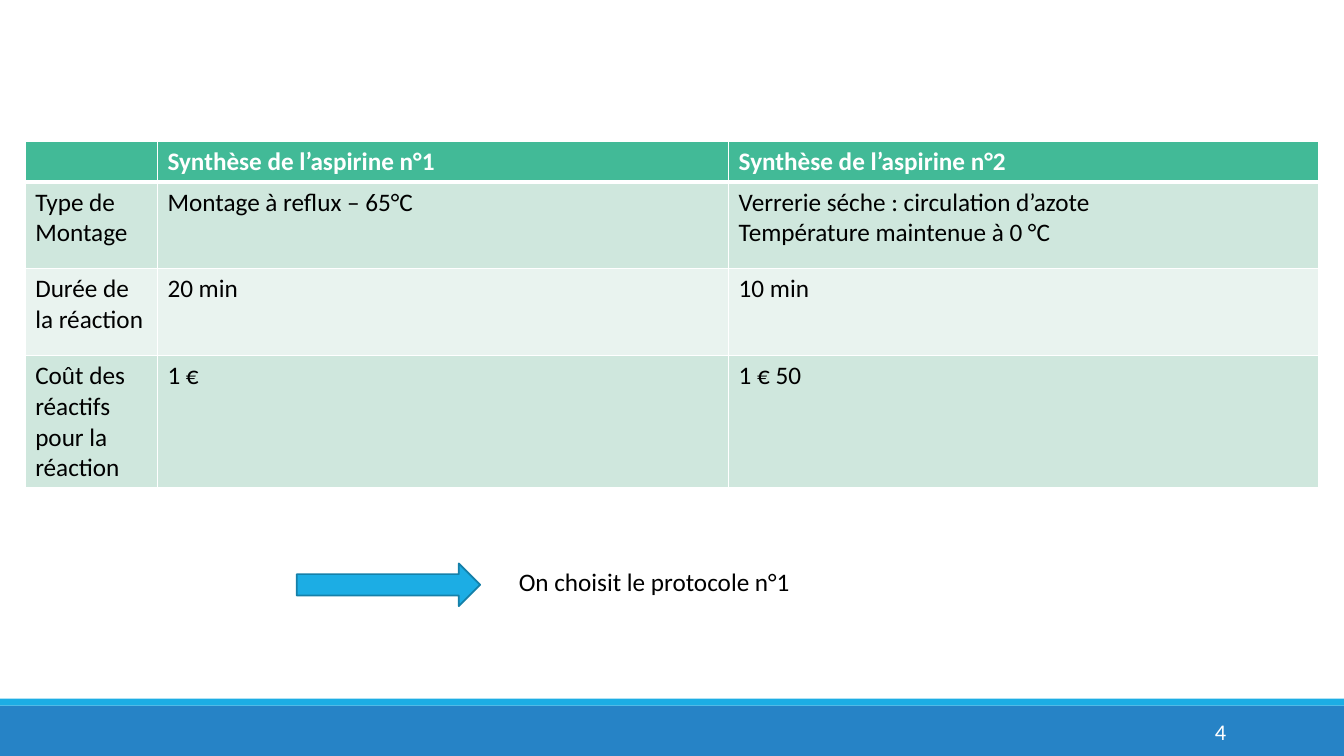
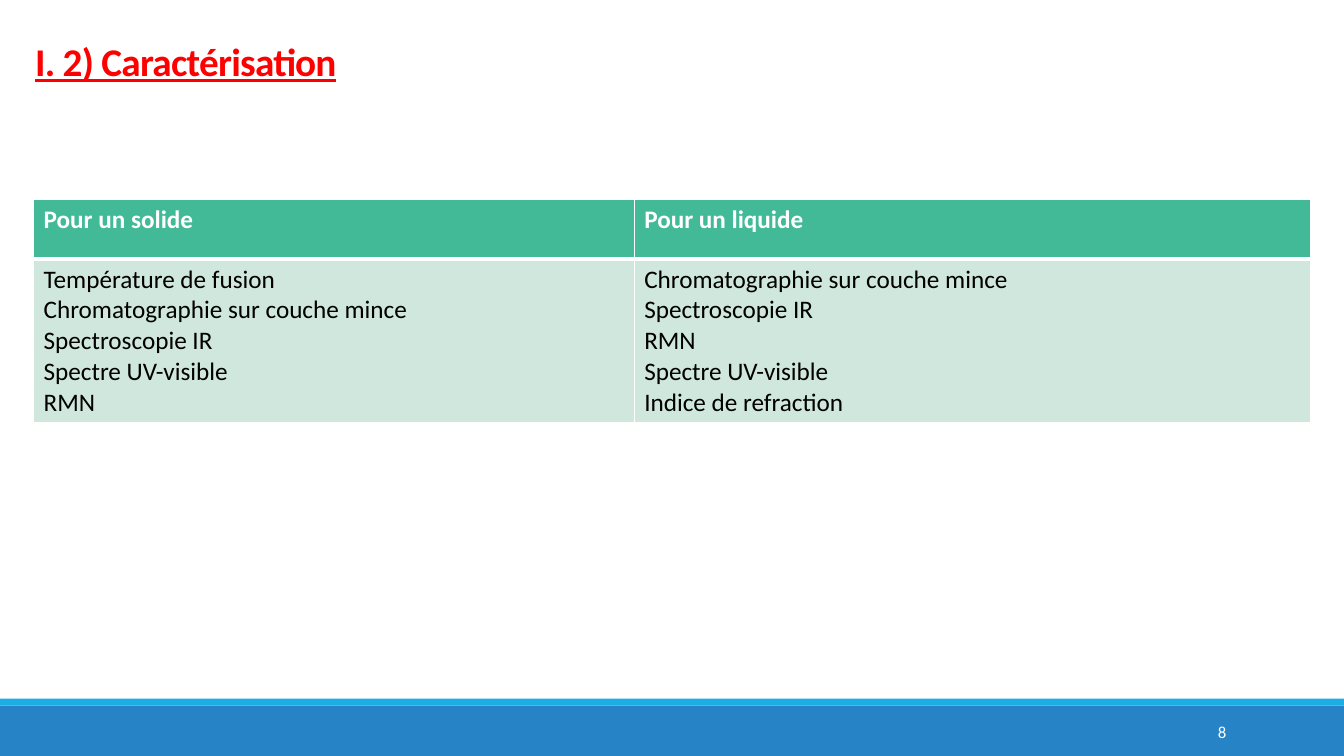
"""Build two slides on choosing an aspirin synthesis and characterising its product."""
from lxml import etree
from pptx import Presentation
from pptx.dml.color import RGBColor
from pptx.enum import shapes, text
from pptx.oxml import ns
from pptx.util import Pt

FONT = "Calibri"
BODY_SIZE = 18
SLIDE_WIDTH, SLIDE_HEIGHT = 960, 540
COLORS = {
    "band": "2683C6",
    "accent": "1CADE4",
    "accent_line": "1580A9",
    "header": "42BA97",
    "row_odd": "CFE7DD",
    "row_even": "E9F3EF",
    "title": "FF0000",
    "text": "000000",
    "white": "FFFFFF",
}


def color(name):
    return RGBColor.from_string(COLORS[name])


def format_text(text_frame, size=BODY_SIZE, color_name="text", bold=False):
    for paragraph in text_frame.paragraphs:
        for run in paragraph.runs:
            run.font.name = FONT
            run.font.size = Pt(size)
            run.font.bold = bold
            run.font.color.rgb = color(color_name)


def add_filled_shape(slide, kind, left, top, width, height, fill, line=None):
    shape = slide.shapes.add_shape(kind, Pt(left), Pt(top), Pt(width), Pt(height))
    shape.shadow.inherit = False
    shape.fill.solid()
    shape.fill.fore_color.rgb = color(fill)
    if line:
        shape.line.color.rgb = color(line)
        shape.line.width = Pt(1.25)
    else:
        shape.line.fill.background()


def add_text(slide, content, left, top, width, height, anchor=text.MSO_ANCHOR.TOP, **style):
    shape = slide.shapes.add_textbox(Pt(left), Pt(top), Pt(width), Pt(height))
    text_frame = shape.text_frame
    text_frame.word_wrap = True
    text_frame.vertical_anchor = anchor
    text_frame.text = content
    format_text(text_frame, **style)
    return text_frame.paragraphs[0]


def add_title(slide, content):
    paragraph = add_text(slide, content, 18, 27, 272, 37, text.MSO_ANCHOR.BOTTOM,
                         size=28, color_name="title", bold=True)
    paragraph.line_spacing = 0.85
    font = paragraph.runs[0].font
    font.underline = True
    paragraph.runs[0]._r.get_or_add_rPr().set("spc", "-50")


def add_footer(slide, number, size):
    rectangle = shapes.MSO_SHAPE.RECTANGLE
    add_filled_shape(slide, rectangle, 0, 504, SLIDE_WIDTH, 36, "band")
    add_filled_shape(slide, rectangle, 0, 499, SLIDE_WIDTH, 5, "accent")
    paragraph = add_text(slide, number, 780, 508.5, 103, 28.5, text.MSO_ANCHOR.MIDDLE,
                         size=size, color_name="white")
    paragraph.alignment = text.PP_ALIGN.RIGHT


def set_borders(cell, top, bottom):
    properties = cell._tc.get_or_add_tcPr()
    for side, width in (("L", 1), ("R", 1), ("T", top), ("B", bottom)):
        line = etree.SubElement(properties, ns.qn(f"a:ln{side}"), w=str(Pt(width)))
        fill = etree.SubElement(line, ns.qn("a:solidFill"))
        etree.SubElement(fill, ns.qn("a:srgbClr"), val=COLORS["white"])


def add_table(slide, rows, left, top, widths, heights):
    frame = slide.shapes.add_table(len(rows), len(widths), Pt(left), Pt(top),
                                   Pt(sum(widths)), Pt(sum(heights)))
    table = frame.table
    table.horz_banding = False
    for column, width in zip(table.columns, widths):
        column.width = Pt(width)
    for row, height in zip(table.rows, heights):
        row.height = Pt(height)
    for row_index, values in enumerate(rows):
        is_header = row_index == 0
        fill = "header" if is_header else "row_odd" if row_index % 2 else "row_even"
        for column_index, value in enumerate(values):
            cell = table.cell(row_index, column_index)
            set_borders(cell, 3 if row_index == 1 else 1, 3 if is_header else 1)
            cell.fill.solid()
            cell.fill.fore_color.rgb = color(fill)
            cell.text_frame.text = value
            format_text(cell.text_frame, color_name="white" if is_header else "text",
                        bold=is_header)


def add_slide(presentation, number, number_size):
    slide = presentation.slides.add_slide(presentation.slide_layouts[6])
    add_footer(slide, number, number_size)
    return slide


def build_protocol_slide(presentation):
    slide = add_slide(presentation, "4", 16)
    rows = [
        ("", "Synthèse de l’aspirine n°1", "Synthèse de l’aspirine n°2"),
        ("Type de Montage", "Montage à reflux – 65°C",
         "Verrerie séche : circulation d’azote\nTempérature maintenue à 0 °C"),
        ("Durée de la réaction", "20 min", "10 min"),
        ("Coût des réactifs pour la réaction", "1 €", "1 € 50"),
    ]
    add_table(slide, rows, 18, 101, (94.5, 408, 421.5), (29, 62, 62, 94.5))
    add_filled_shape(slide, shapes.MSO_SHAPE.RIGHT_ARROW, 212, 402.5, 131, 30.5,
                     "accent", "accent_line")
    add_text(slide, "On choisit le protocole n°1", 363.5, 401, 233, 29)


def build_characterisation_slide(presentation):
    slide = add_slide(presentation, "8", 12)
    add_title(slide, "I. 2) Caractérisation")
    solid = ("Température de fusion", "Chromatographie sur couche mince",
             "Spectroscopie IR", "Spectre UV-visible", "RMN")
    liquid = ("Chromatographie sur couche mince", "Spectroscopie IR", "RMN",
              "Spectre UV-visible", "Indice de refraction")
    rows = [
        ("Pour un solide", "Pour un liquide"),
        ("\n".join(solid), "\n".join(liquid)),
    ]
    add_table(slide, rows, 24, 142.5, (429, 483), (42.5, 117))


def main():
    presentation = Presentation()
    presentation.slide_width = Pt(SLIDE_WIDTH)
    presentation.slide_height = Pt(SLIDE_HEIGHT)
    build_protocol_slide(presentation)
    build_characterisation_slide(presentation)
    presentation.save("out.pptx")


if __name__ == "__main__":
    main()
